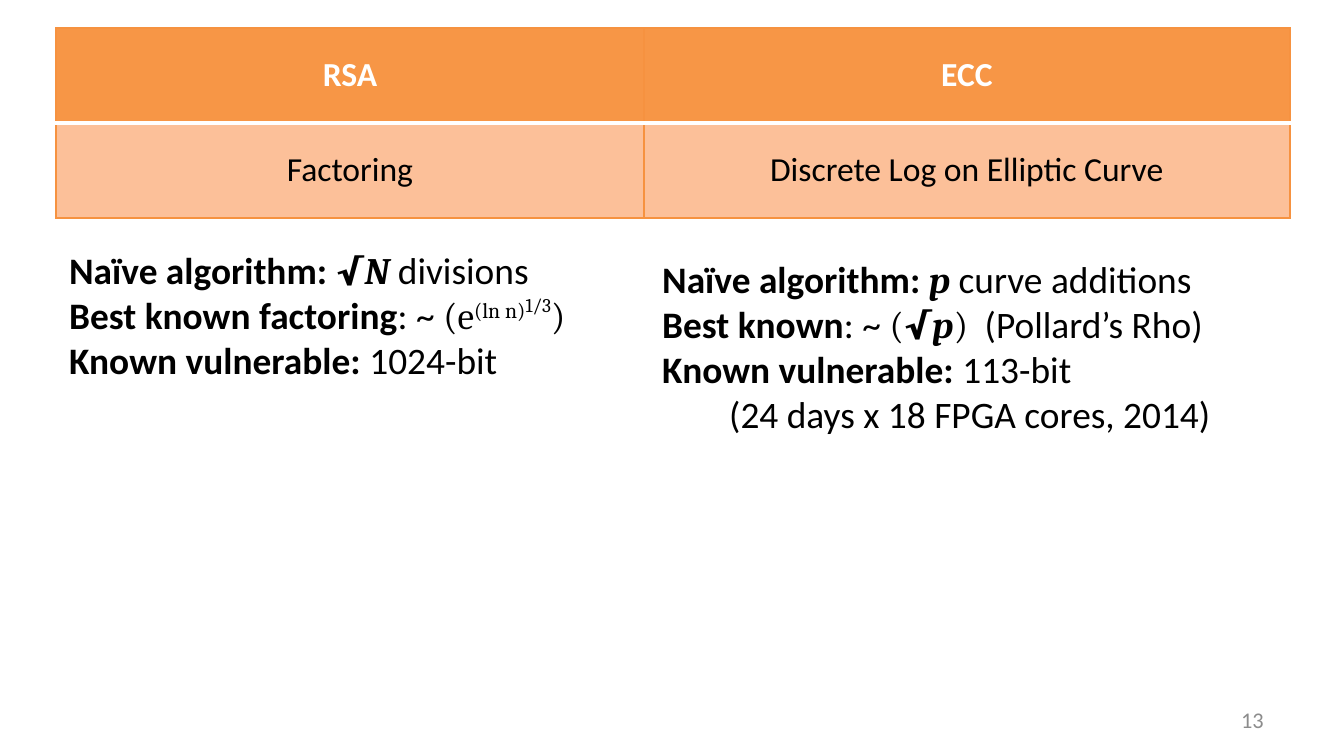
from lxml.etree import SubElement
from pptx import Presentation
from pptx.dml.color import RGBColor
from pptx.enum.text import MSO_ANCHOR as ANCHOR, PP_ALIGN as ALIGN
from pptx.oxml.ns import qn
from pptx.util import Emu, Pt

WHITE = RGBColor(0xFF, 0xFF, 0xFF)
BLACK = RGBColor(0, 0, 0)
GRAY = RGBColor(0x8C, 0x8C, 0x8C)
ORANGE = RGBColor(0xF7, 0x96, 0x46)
PEACH = RGBColor(0xFC, 0xC0, 0x99)
BORDER = RGBColor(0xF6, 0x92, 0x40)
SANS, SERIF = "Calibri", "Cambria"
SCALE = 914400 / 134.4  # EMU in one px

ROWS = [("RSA", "ECC"), ("Factoring", "Discrete Log on Elliptic Curve")]
COLUMN_WIDTHS = (588, 646)
ROW_HEIGHT = 95

# Style letters of a run: b bold, i italic, m math font
# and optionally a baseline shift in percent with a size
RSA_NOTES = [
    [("Naïve algorithm: ", "b"), ("√", "bm"), ("N ", "bim"), ("divisions", "")],
    [("Best known factoring", "b"), (": ~ ", ""), ("(e", "m"),
     ("(ln n)", "m", 30, 20), ("1/3", "m", 50, 18), (")", "m")],
    [("Known vulnerable: ", "b"), ("1024-bit", "")],
]
ECC_NOTES = [
    [("Naïve algorithm: ", "b"), ("p ", "bim"), ("curve additions", "")],
    [("Best known", "b"), (": ~ ", ""), ("(", "m"), ("√", "bm"), ("p", "bim"),
     (")  ", "m"), ("(Pollard’s Rho)", "")],
    [("Known vulnerable: ", "b"), ("113-bit", "")],
    [("\t(24 days x 18 FPGA cores, 2014)", "")],
]
NOTES = [((56, 241, 552, 149), RSA_NOTES), ((649, 250, 582, 195), ECC_NOTES)]
TAB_WIDTH = 67
PAGE_NUMBER = ("13", (964, 700, 313, 40))


def px(n):
    return Emu(round(n * SCALE))


def set_font(font, size, color, bold=False):
    font.name, font.size, font.bold = SANS, Pt(size), bold
    font.color.rgb = color


def add_border(cell, side, color, width):
    line = SubElement(cell._tc.get_or_add_tcPr(), qn(f"a:ln{side}"), w=str(Pt(width)))
    fill = SubElement(line, qn("a:solidFill"))
    SubElement(fill, qn("a:srgbClr"), val=str(color))


def add_table(slide):
    table = slide.shapes.add_table(
        len(ROWS), len(COLUMN_WIDTHS), px(56), px(28),
        px(sum(COLUMN_WIDTHS)), px(ROW_HEIGHT * len(ROWS))).table
    table.first_row = table.horz_banding = False
    for column, width in zip(table.columns, COLUMN_WIDTHS):
        column.width = px(width)
    for i, texts in enumerate(ROWS):
        header = i == 0
        table.rows[i].height = px(ROW_HEIGHT)
        for j, text in enumerate(texts):
            cell = table.cell(i, j)
            cell.text = text
            cell.vertical_anchor = ANCHOR.MIDDLE
            p = cell.text_frame.paragraphs[0]
            p.alignment = ALIGN.CENTER
            set_font(p.font, 18, WHITE if header else BLACK, header)
            for side in "LRTB":
                divider = side == ("B" if header else "T")
                add_border(cell, side, *((WHITE, 2) if divider else (BORDER, 0.75)))
            cell.fill.solid()
            cell.fill.fore_color.rgb = ORANGE if header else PEACH


def add_notes(slide, box, lines):
    tf = slide.shapes.add_textbox(*map(px, box)).text_frame
    tf.word_wrap = False
    for i, runs in enumerate(lines):
        p = tf.add_paragraph() if i else tf.paragraphs[0]
        p._p.get_or_add_pPr().set("defTabSz", str(px(TAB_WIDTH)))
        for text, style, *shift in runs:
            r = p.add_run()
            r.text = text
            baseline, size = shift or (0, 20)
            set_font(r.font, size, BLACK, "b" in style)
            r.font.italic = "i" in style
            if "m" in style:
                r.font.name = SERIF
            if baseline:
                r._r.get_or_add_rPr().set("baseline", str(baseline * 1000))


def add_page_number(slide, text, box):
    tf = slide.shapes.add_textbox(*map(px, box)).text_frame
    tf.word_wrap = True
    tf.vertical_anchor = ANCHOR.MIDDLE
    p = tf.paragraphs[0]
    p.text = text
    p.alignment = ALIGN.RIGHT
    set_font(p.font, 12, GRAY)


def main():
    prs = Presentation()
    prs.slide_width, prs.slide_height = px(1344), px(756)
    slide = prs.slides.add_slide(prs.slide_layouts[6])
    add_page_number(slide, *PAGE_NUMBER)
    add_table(slide)
    for box, lines in NOTES:
        add_notes(slide, box, lines)
    prs.save("out.pptx")


if __name__ == "__main__":
    main()
